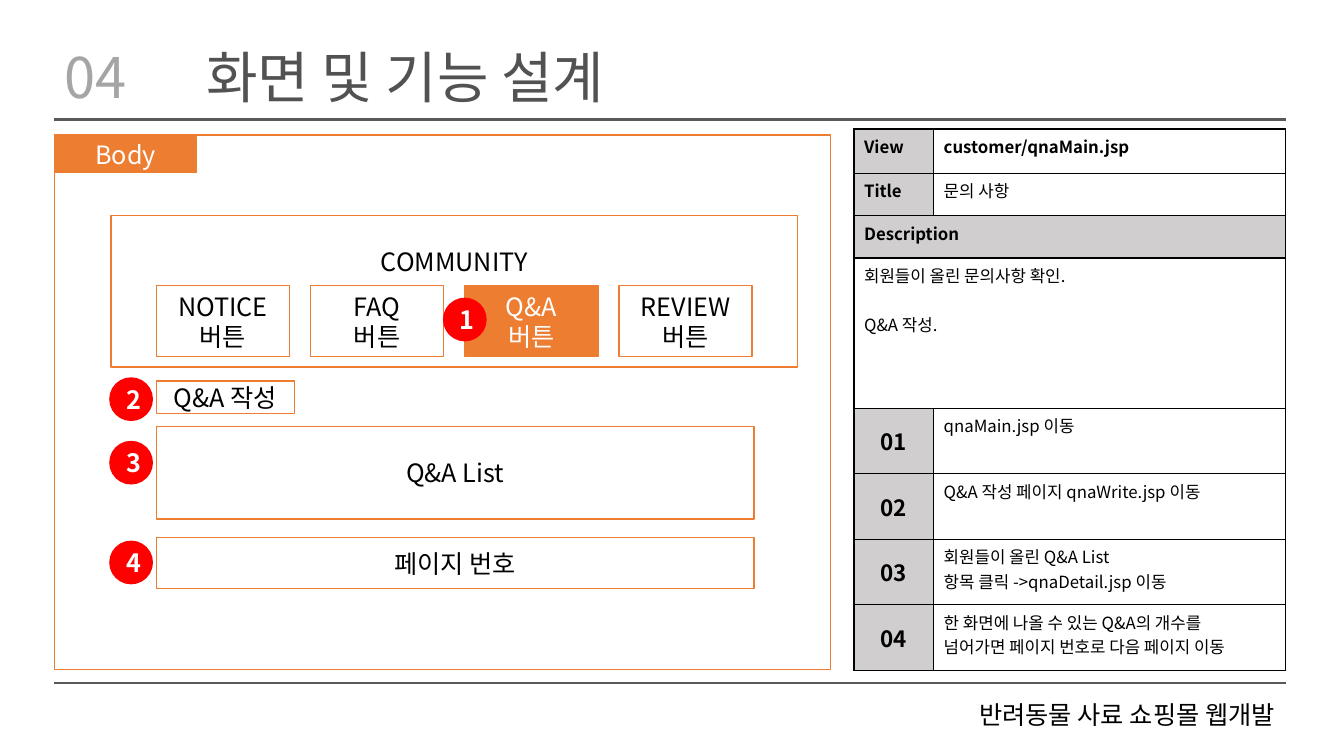
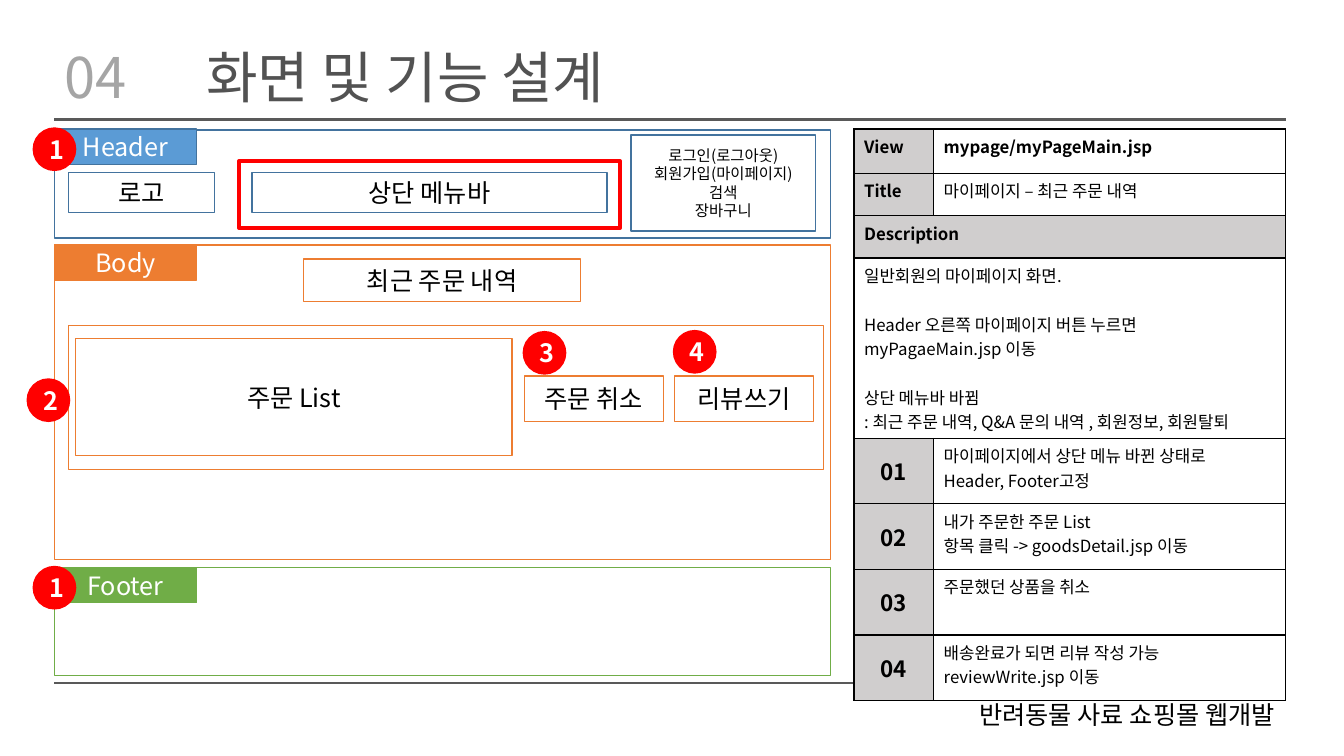
"""Build two screen design slides with wireframes and description tables."""
from dataclasses import dataclass
from typing import Optional

from lxml.etree import SubElement
from pptx import Presentation
from pptx.dml.color import RGBColor
from pptx.enum.shapes import MSO_CONNECTOR, MSO_SHAPE
from pptx.enum.text import MSO_ANCHOR, PP_ALIGN
from pptx.oxml.ns import qn
from pptx.util import Inches, Pt

FONT = "Noto Sans CJK KR"
BLACK, WHITE, RED = "000000", "FFFFFF", "FF0000"
RULE, NUMBER, TITLE, LABEL = "595959", "A5A5A5", "525252", "D0CECE"
ORANGE, BLUE, NAVY, GREEN = "ED7D31", "5B9BD5", "43739E", "70AD47"
LEFT, RIGHT, PANEL_W = 0.54, 12.75, 7.7
COL_WIDTHS = (0.79, 3.49)
HEAD_HEIGHTS = (0.44, 0.42, 0.42)
NOTE_HEIGHT = 0.65
DESCRIPTION_ROW, FIRST_NOTE_ROW = 3, 4


@dataclass
class Box:
    x: float
    y: float
    w: float
    h: float
    text: str = ""
    line: str = ORANGE
    fill: Optional[str] = None
    size: float = 18
    weight: float = 1
    bottom: float = 0.05


@dataclass
class Marker:
    label: str
    x: float
    y: float


@dataclass
class Screen:
    view: str
    title: str
    description: str
    description_height: float
    notes: list[str]
    boxes: list[Box]
    markers: list[Marker]


def tab(y: float, text: str, fill: str, line: str) -> Box:
    return Box(LEFT, y, 1.41, 0.35, text, line, fill)


def button(column: int, text: str, fill: Optional[str] = None) -> Box:
    return Box(1.55 + 1.53 * column, 2.83, 1.32, 0.71, text, fill=fill)


SCREENS = [
    Screen(
        "customer/qnaMain.jsp",
        "문의 사항",
        "회원들이 올린 문의사항 확인.\n\nQ&A 작성.",
        1.49,
        [
            "qnaMain.jsp 이동",
            "Q&A 작성 페이지 qnaWrite.jsp 이동",
            "회원들이 올린 Q&A List\n항목 클릭 ->qnaDetail.jsp 이동",
            "한 화면에 나올 수 있는 Q&A의 개수를\n넘어가면 페이지 번호로 다음 페이지 이동",
        ],
        [
            Box(LEFT, 1.34, PANEL_W, 5.3),
            tab(1.36, "Body", ORANGE, ORANGE),
            Box(1.1, 2.14, 6.81, 1.5, "COMMUNITY", bottom=0.65),
            button(0, "NOTICE 버튼"),
            button(1, "FAQ\n버튼"),
            button(2, "Q&A\n버튼", ORANGE),
            button(3, "REVIEW 버튼"),
            Box(1.55, 4.23, 5.93, 0.92, "Q&A List"),
            Box(1.55, 5.33, 5.93, 0.51, "페이지 번호"),
            Box(1.55, 3.78, 1.37, 0.32, "Q&A 작성"),
        ],
        [
            Marker("1", 4.4, 2.96),
            Marker("2", 1.09, 3.75),
            Marker("3", 1.09, 4.38),
            Marker("4", 1.09, 5.37),
        ],
    ),
    Screen(
        "mypage/myPageMain.jsp",
        "마이페이지 – 최근 주문 내역",
        "일반회원의 마이페이지 화면.\n\n"
        "Header 오른쪽 마이페이지 버튼 누르면 myPagaeMain.jsp 이동\n\n"
        "상단 메뉴바 바뀜\n: 최근 주문 내역, Q&A 문의 내역 , 회원정보, 회원탈퇴",
        1.79,
        [
            "마이페이지에서 상단 메뉴 바뀐 상태로\nHeader, Footer고정",
            "내가 주문한 주문 List\n항목 클릭 -> goodsDetail.jsp 이동",
            "주문했던 상품을 취소",
            "배송완료가 되면 리뷰 작성 가능\nreviewWrite.jsp 이동",
        ],
        [
            Box(LEFT, 1.29, PANEL_W, 1.07, line=NAVY),
            Box(6.26, 1.34, 1.83, 0.95,
                "로그인(로그아웃)\n회원가입(마이페이지)\n검색\n장바구니", NAVY, size=11),
            Box(2.5, 1.71, 3.52, 0.4, "상단 메뉴바", NAVY),
            Box(0.68, 1.71, 1.45, 0.4, "로고", NAVY),
            tab(1.28, "Header", BLUE, NAVY),
            Box(2.37, 1.6, 3.78, 0.66, line=RED, weight=3),
            Box(LEFT, 2.43, PANEL_W, 3.12),
            tab(2.43, "Body", ORANGE, ORANGE),
            Box(3.01, 2.57, 2.75, 0.42, "최근 주문 내역"),
            Box(0.68, 3.23, 7.49, 1.43),
            Box(0.75, 3.36, 4.33, 1.16, "주문 List"),
            Box(5.2, 3.73, 1.38, 0.45, "주문 취소"),
            Box(6.69, 3.73, 1.38, 0.45, "리뷰쓰기"),
            Box(LEFT, 5.63, PANEL_W, 1.07, line=GREEN),
            tab(5.63, "Footer", GREEN, GREEN),
        ],
        [
            Marker("1", 0.33, 1.27),
            Marker("1", 0.33, 5.62),
            Marker("2", 0.27, 3.76),
            Marker("3", 5.19, 3.29),
            Marker("4", 6.68, 3.28),
        ],
    ),
]


def rgb(value: str) -> RGBColor:
    return RGBColor.from_string(value)


def write(tf, text: str, *, size: float = 18, color: str = BLACK, bold: bool = False,
          align=PP_ALIGN.LEFT, spacing: float = 1.0, gap: float = 17.4) -> None:
    first = True
    for block_index, block in enumerate(text.split("\n\n")):
        for line_index, line in enumerate(block.split("\n")):
            p = tf.paragraphs[0] if first else tf.add_paragraph()
            first = False
            p.alignment = align
            p.line_spacing = spacing
            if block_index and not line_index:
                p.space_before = Pt(gap)
            r = p.add_run()
            r.text = line
            r.font.size = Pt(size)
            r.font.bold = bold
            r.font.color.rgb = rgb(color)
            r.font.name = FONT
            SubElement(r.font._element, qn("a:ea"), typeface=FONT)


def add_rule(s, y: float, weight: float) -> None:
    line = s.shapes.add_connector(
        MSO_CONNECTOR.STRAIGHT, Inches(LEFT), Inches(y), Inches(RIGHT), Inches(y))
    line.line.color.rgb = rgb(RULE)
    line.line.width = Pt(weight)
    SubElement(line._element.spPr, qn("a:effectLst"))


def add_label(s, x: float, y: float, w: float, h: float, text: str, **style) -> None:
    tf = s.shapes.add_textbox(Inches(x), Inches(y), Inches(w), Inches(h)).text_frame
    tf.word_wrap = True
    tf.vertical_anchor = MSO_ANCHOR.MIDDLE
    write(tf, text, **style)


def add_box(s, box: Box, kind=MSO_SHAPE.RECTANGLE, bold: bool = False) -> None:
    sp = s.shapes.add_shape(
        kind, Inches(box.x), Inches(box.y), Inches(box.w), Inches(box.h))
    sp.shadow.inherit = False
    sp.line.color.rgb = rgb(box.line)
    sp.line.width = Pt(box.weight)
    if box.fill:
        sp.fill.solid()
        sp.fill.fore_color.rgb = rgb(box.fill)
    else:
        sp.fill.background()
    if box.text:
        tf = sp.text_frame
        tf.word_wrap = True
        tf.vertical_anchor = MSO_ANCHOR.MIDDLE
        tf.margin_bottom = Inches(box.bottom)
        write(tf, box.text, size=box.size, color=WHITE if box.fill else BLACK,
              bold=bold, align=PP_ALIGN.CENTER)


def add_marker(s, marker: Marker) -> None:
    circle = Box(marker.x, marker.y, 0.42, 0.42, marker.label, RED, RED)
    add_box(s, circle, MSO_SHAPE.OVAL, bold=True)


def style_cell(cell, fill: str) -> None:
    tc_pr = cell._tc.get_or_add_tcPr()
    for side in ("a:lnL", "a:lnR", "a:lnT", "a:lnB"):
        ln = SubElement(tc_pr, qn(side), w=str(Pt(1)))
        SubElement(SubElement(ln, qn("a:solidFill")), qn("a:srgbClr"), val=BLACK)
    cell.fill.solid()
    cell.fill.fore_color.rgb = rgb(fill)


def add_description_table(s, screen: Screen) -> None:
    heights = [*HEAD_HEIGHTS, screen.description_height]
    heights += [NOTE_HEIGHT] * len(screen.notes)
    table = s.shapes.add_table(
        len(heights), len(COL_WIDTHS), Inches(8.47), Inches(1.28),
        Inches(sum(COL_WIDTHS)), Inches(sum(heights))).table
    for column, width in zip(table.columns, COL_WIDTHS):
        column.width = Inches(width)
    for row, height in zip(table.rows, heights):
        row.height = Inches(height)
    for i in range(len(heights)):
        style_cell(table.cell(i, 0), WHITE if i == DESCRIPTION_ROW else LABEL)
        style_cell(table.cell(i, 1), LABEL if i == DESCRIPTION_ROW - 1 else WHITE)
    for i in (DESCRIPTION_ROW - 1, DESCRIPTION_ROW):
        table.cell(i, 0).merge(table.cell(i, 1))
    fields = [
        (0, 0, "View", True), (0, 1, screen.view, True),
        (1, 0, "Title", True), (1, 1, screen.title, False),
        (2, 0, "Description", True), (DESCRIPTION_ROW, 0, screen.description, False),
    ]
    for i, j, text, bold in fields:
        write(table.cell(i, j).text_frame, text, size=12, bold=bold)
    for n, note in enumerate(screen.notes):
        number = table.cell(FIRST_NOTE_ROW + n, 0)
        number.vertical_anchor = MSO_ANCHOR.MIDDLE
        write(number.text_frame, f"{n + 1:02}", size=16, bold=True, align=PP_ALIGN.CENTER)
        write(table.cell(FIRST_NOTE_ROW + n, 1).text_frame, note, size=12)


def add_frame(s) -> None:
    add_rule(s, 1.19, 2.25)
    add_rule(s, 6.78, 1.5)
    add_label(s, 7.73, 6.93, 5.01, 0.37, "반려동물 사료 쇼핑몰 웹개발",
              align=PP_ALIGN.RIGHT, spacing=0.8)
    add_label(s, LEFT, 0.47, 0.84, 0.66, "04", size=40, color=NUMBER, spacing=0.9)
    add_label(s, 1.95, 0.47, 10.8, 0.66, "화면 및 기능 설계",
              size=40, color=TITLE, spacing=0.9)


def main() -> None:
    prs = Presentation()
    prs.slide_width, prs.slide_height = Inches(13.33), Inches(7.5)
    for screen in SCREENS:
        s = prs.slides.add_slide(prs.slide_layouts[6])
        add_frame(s)
        add_description_table(s, screen)
        for box in screen.boxes:
            add_box(s, box)
        for marker in screen.markers:
            add_marker(s, marker)
    prs.save("out.pptx")


if __name__ == "__main__":
    main()
